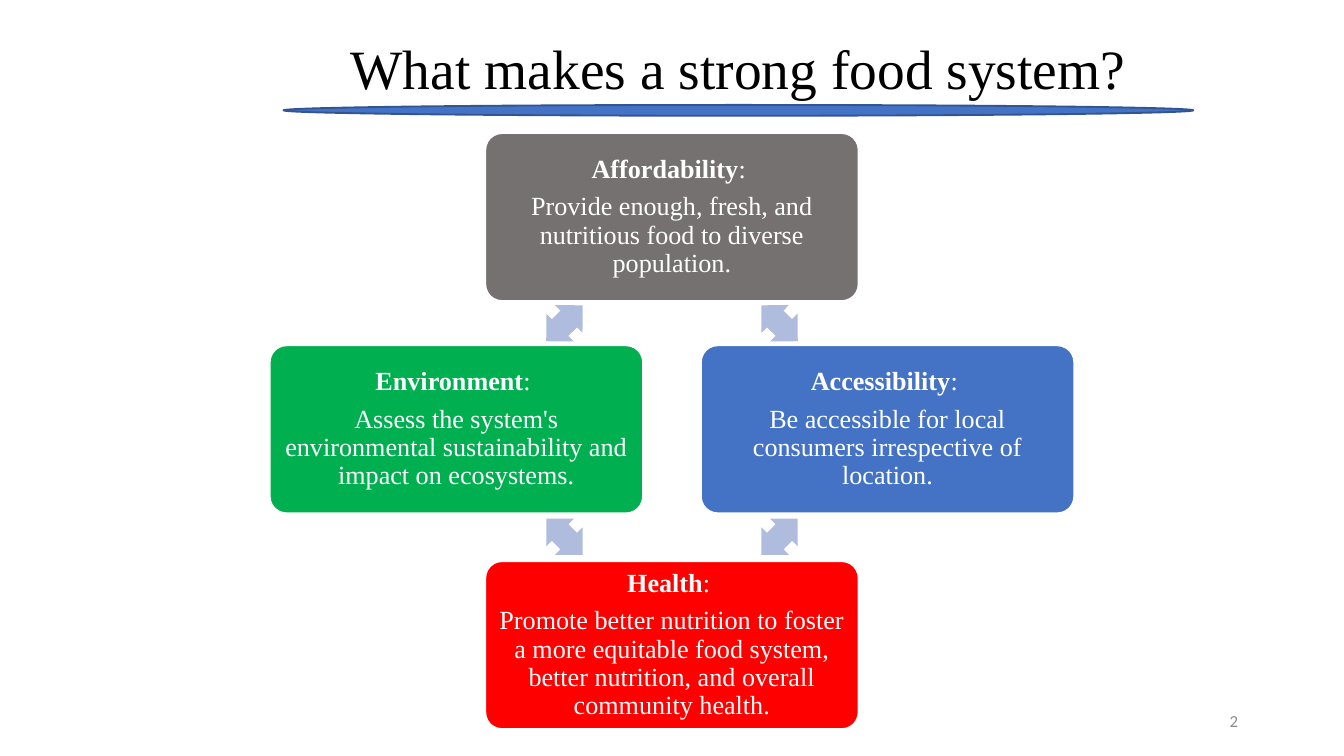
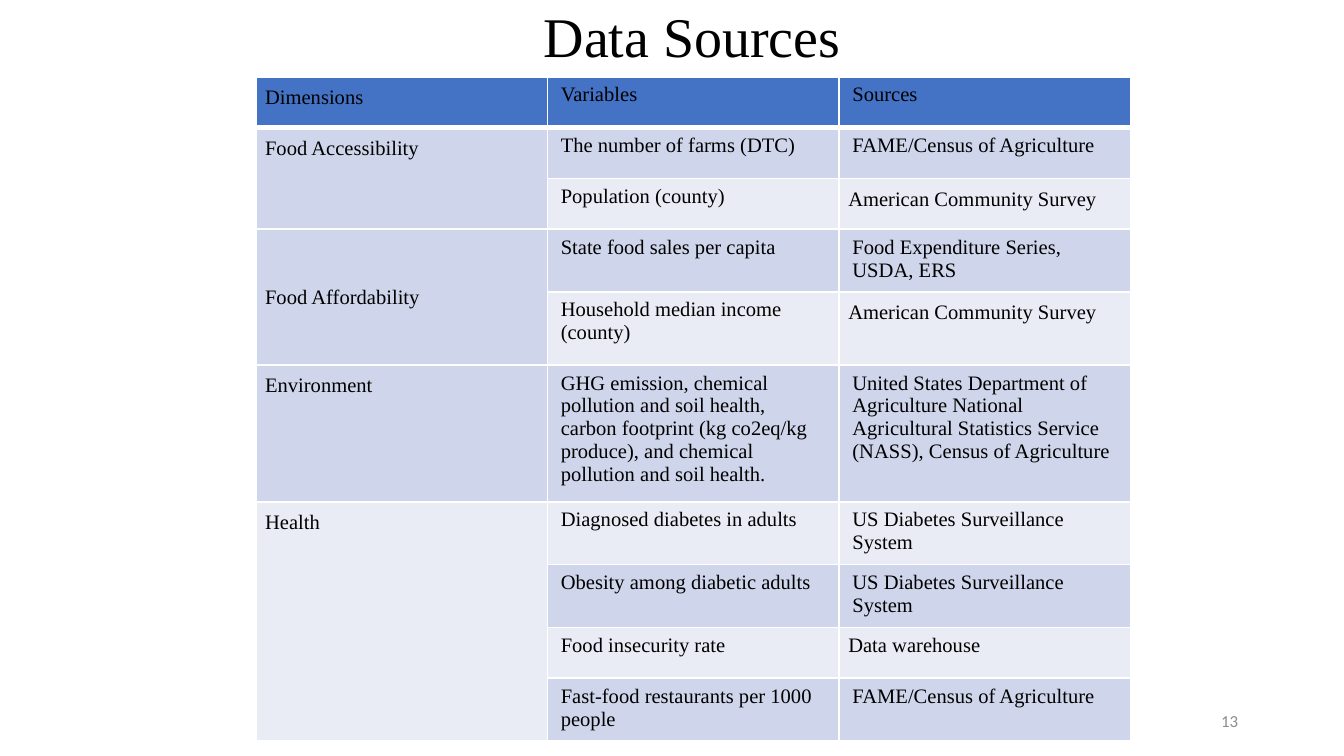
from lxml import etree
from pptx import Presentation
from pptx.dml.color import RGBColor
from pptx.enum import shapes, text
from pptx.oxml import ns
from pptx.util import Pt

SERIF, SANS = "Times New Roman", "Calibri"
BLACK = RGBColor(0x00, 0x00, 0x00)
WHITE = RGBColor(0xFF, 0xFF, 0xFF)
GRAY = RGBColor(0x8C, 0x8C, 0x8C)
STONE = RGBColor(0x76, 0x71, 0x71)
BLUE = RGBColor(0x44, 0x72, 0xC4)
NAVY = RGBColor(0x32, 0x54, 0x91)
GREEN = RGBColor(0x00, 0xB0, 0x50)
RED = RGBColor(0xFF, 0x00, 0x00)
PALE = RGBColor(0xB0, 0xBC, 0xDE)
BAND = RGBColor(0xCF, 0xD5, 0xEA)
LIGHT = RGBColor(0xE9, 0xEB, 0xF5)

MID = 360  # centre line of the diagram
CARD = (200, 90)
ARROW = (27.4, 20.9)

# dx from the centre line, top, fill, heading, body
CARDS = [
    (0, 71.3, STONE, "Affordability",
     "Provide enough, fresh, and nutritious food to diverse population."),
    (115.5, 185, BLUE, "Accessibility",
     "Be accessible for local consumers irrespective of location."),
    (0, 300.6, RED, "Health",
     "Promote better nutrition to foster a more equitable food system, "
     "better nutrition, and overall community health."),
    (-115.5, 185, GREEN, "Environment",
     "Assess the system's environmental sustainability and impact on "
     "ecosystems."),
]
# dx, centre y, turn
ARROWS = [(57.6, 173.2, 44.6), (57.6, 287.6, 135),
          (-57.6, 287.6, 225), (-57.6, 173.2, 315.4)]

SURVEY = "American Community Survey"
CENSUS = "FAME/Census of Agriculture"
SYSTEM = "US Diabetes Surveillance System"
STORE = "Data warehouse"
# height, dimension (None continues the one above), variable, source
ROWS = [
    (27.2, "Dimensions", "Variables", "Sources"),
    (27.2, "Food Accessibility", "The number of farms (DTC)", CENSUS),
    (27.2, None, "Population (county)", SURVEY),
    (31.7, "Food Affordability", "State food sales per capita",
     "Food Expenditure Series, USDA, ERS"),
    (39.2, None, "Household median income (county)", SURVEY),
    (68.5, "Environment",
     "GHG emission, chemical pollution and soil health, carbon footprint "
     "(kg co2eq/kg produce), and chemical pollution and soil health.",
     "United States Department of Agriculture National Agricultural "
     "Statistics Service (NASS), Census of Agriculture"),
    (31.7, "Health", "Diagnosed diabetes in adults", SYSTEM),
    (31.7, None, "Obesity among diabetic adults", SYSTEM),
    (27.2, None, "Food insecurity rate", STORE),
    (31.7, None, "Fast-food restaurants per 1000 people", CENSUS),
]


def style(para, size, color, face=SERIF, align=text.PP_ALIGN.CENTER):
    para.alignment = align
    for run in para.runs:
        run.font.name, run.font.size = face, Pt(size)
        run.font.color.rgb = color


def label(slide, box, words, size, color, anchor, **kind):
    frame = slide.shapes.add_textbox(*map(Pt, box)).text_frame
    frame.word_wrap = True
    frame.vertical_anchor = anchor
    frame.text = words
    para = frame.paragraphs[0]
    style(para, size, color, **kind)
    return para


def number(slide, page):
    label(slide, (508.3, 375.1, 162, 21.6), str(page), 9, GRAY,
          text.MSO_ANCHOR.MIDDLE, face=SANS, align=text.PP_ALIGN.RIGHT)


def draw(slide, kind, box, fill, line=None):
    shape = slide.shapes.add_shape(kind, *map(Pt, box))
    shape.shadow.inherit = False
    shape.fill.solid()
    shape.fill.fore_color.rgb = fill
    if line is None:
        shape.line.fill.background()
    else:
        shape.line.color.rgb, shape.line.width = line, Pt(1)
    return shape


def card(slide, dx, top, fill, head, body):
    wide, high = CARD
    shape = draw(slide, shapes.MSO_SHAPE.ROUNDED_RECTANGLE,
                 (MID + dx - wide / 2, top, wide, high), fill, WHITE)
    shape.adjustments[0] = 0.1
    frame = shape.text_frame
    frame.word_wrap = True
    frame.vertical_anchor = text.MSO_ANCHOR.MIDDLE
    frame.margin_left = frame.margin_right = Pt(4.3)
    frame.margin_top = frame.margin_bottom = Pt(4.3)
    first, last = frame.paragraphs[0], frame.add_paragraph()
    first.add_run().text = head
    first.add_run().text = ": "
    last.text = body
    for para in (first, last):
        para.line_spacing, para.space_after = 0.9, Pt(4.9)
        style(para, 14, WHITE)
    first.runs[0].font.bold = True


def arrow(slide, dx, mid, turn):
    wide, high = ARROW
    shape = draw(slide, shapes.MSO_SHAPE.LEFT_RIGHT_ARROW,
                 (MID + dx - wide / 2, mid - high / 2, wide, high), PALE)
    shape.adjustments[0], shape.adjustments[1] = 0.6, 0.5
    shape.rotation = turn


def border(cell, top, bottom):
    """Give the cell white edges, before its fill as the schema asks."""
    props = cell._tc.get_or_add_tcPr()
    edges = (("lnL", 1), ("lnR", 1), ("lnT", top), ("lnB", bottom))
    for spot, (side, width) in enumerate(edges):
        line = etree.Element(ns.qn("a:" + side), w=str(Pt(width)))
        fill = etree.SubElement(line, ns.qn("a:solidFill"))
        etree.SubElement(fill, ns.qn("a:srgbClr"), val=str(WHITE))
        props.insert(spot, line)


def fill_cell(cell, words, row, col):
    cell.fill.solid()
    cell.fill.fore_color.rgb = (
        BLUE if row == 0 else BAND if row % 2 else LIGHT)
    border(cell, 3 if row == 1 else 1, 3 if row == 0 else 1)
    if col == 0 or words in (SURVEY, STORE):
        cell.margin_left = cell.margin_right = Pt(5)
        if words != STORE:
            cell.margin_top = cell.margin_bottom = Pt(5)
    if words:
        cell.text = words
        style(cell.text_frame.paragraphs[0], 11, BLACK,
              align=text.PP_ALIGN.LEFT)


def grid(slide, left, top, wide):
    high = sum(row[0] for row in ROWS)
    table = slide.shapes.add_table(
        len(ROWS), 3, Pt(left), Pt(top), Pt(wide), Pt(high)).table
    start = 0
    for row, (tall, *words) in enumerate(ROWS):
        table.rows[row].height = Pt(tall)
        for col, word in enumerate(words):
            fill_cell(table.cell(row, col), word, row, col)
        if words[0]:
            start = row
        elif row + 1 == len(ROWS) or ROWS[row + 1][1]:
            table.cell(start, 0).merge(table.cell(row, 0))
        if words[0] == "Food Affordability":
            table.cell(row, 0).vertical_anchor = text.MSO_ANCHOR.MIDDLE


def system(slide):
    title = label(slide, (71.3, 24.5, 648.7, 27.4),
                  "What makes a strong food system?", 29.7, BLACK,
                  text.MSO_ANCHOR.MIDDLE)
    title.line_spacing = 0.9
    draw(slide, shapes.MSO_SHAPE.OVAL, (151.9, 56.2, 487.4, 5.8), BLUE, NAVY)
    for item in CARDS:
        card(slide, *item)
    for item in ARROWS:
        arrow(slide, *item)
    number(slide, 2)


def sources(slide):
    grid(slide, 137, 41.2, 468.7)
    label(slide, (190.8, -2.9, 360, 43.9), "Data Sources", 30, BLACK,
          text.MSO_ANCHOR.TOP)
    number(slide, 13)


def main():
    deck = Presentation()
    deck.slide_width, deck.slide_height = Pt(720), Pt(405)
    for build in (system, sources):
        build(deck.slides.add_slide(deck.slide_layouts[6]))
    deck.save("out.pptx")


if __name__ == "__main__":
    main()
